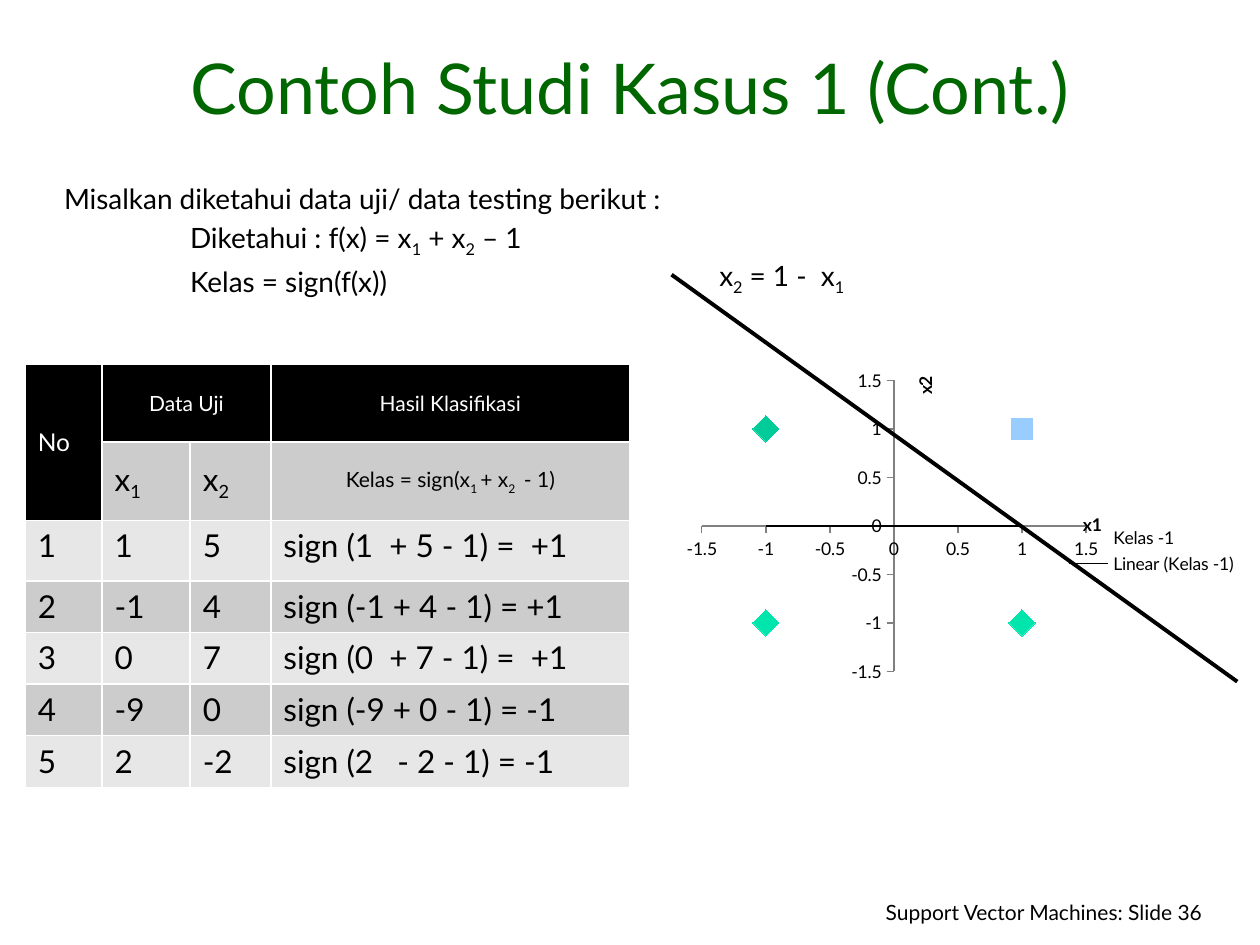
from dataclasses import dataclass

from pptx import Presentation
from pptx import util as u
from pptx.chart.data import XyChartData
from pptx.dml.color import RGBColor
from pptx.enum import chart as charts, shapes, text
from pptx.oxml import parse_xml
from pptx.oxml.ns import nsdecls, qn


@dataclass(frozen=True)
class Theme:
    font: str = "Lato"
    title: str = "006600"
    ink: str = "000000"
    paper: str = "FFFFFF"
    dark_band: str = "CCCCCC"
    light_band: str = "E7E7E7"
    axis: str = "808080"
    teal: str = "00CC99"
    mint: str = "00E5AC"
    sky: str = "99CCFF"
    title_size: float = 40
    table_size: float = 18
    body_size: float = 16
    head_size: float = 14
    small_size: float = 12
    chart_size: float = 10


@dataclass(frozen=True)
class Line:
    words: str
    size: float
    color: str = "000000"
    align: text.PP_ALIGN = text.PP_ALIGN.LEFT
    indent: float = 0
    before: float = 0


@dataclass(frozen=True)
class Cell:
    row: int
    column: int
    line: Line
    fill: str
    middle: bool = False


THEME = Theme()
CENTER, RIGHT = text.PP_ALIGN.CENTER, text.PP_ALIGN.RIGHT
COLUMNS = (43.92, 50.4, 46.08, 205.2)
ROWS = (44.64, 44.64, 34.56) + (29.52,) * 4
RESULTS = (
    ("1", "1", "5", "sign (1  + 5 - 1) =  +1"),
    ("2", "-1", "4", "sign (-1 + 4 - 1) = +1"),
    ("3", "0", "7", "sign (0  + 7 - 1) =  +1"),
    ("4", "-9", "0", "sign (-9 + 0 - 1) = -1"),
    ("5", "2", "-2", "sign (2   - 2 - 1) = -1"),
)


def rgb(color: str) -> RGBColor:
    return RGBColor.from_string(color)


def write_line(para, line: Line) -> None:
    para.alignment = line.align
    para.space_before = u.Pt(line.before)
    if line.indent:
        properties = para._p.get_or_add_pPr()
        properties.set("marL", str(u.Pt(line.indent)))
        properties.set("indent", "0")
    for index, piece in enumerate(line.words.split("~")):
        if not piece:
            continue
        span = para.add_run()
        span.text = piece
        span.font.name = THEME.font
        span.font.size = u.Pt(line.size)
        span.font.color.rgb = rgb(line.color)
        if index % 2:
            span._r.get_or_add_rPr().set("baseline", "-25000")


def add_text(page, left: float, top: float, width: float, height: float,
             lines: list[Line], wrap: bool = True, bottom: bool = False) -> None:
    box = page.shapes.add_textbox(u.Pt(left), u.Pt(top), u.Pt(width), u.Pt(height))
    frame = box.text_frame
    frame.word_wrap = wrap
    frame.vertical_anchor = text.MSO_ANCHOR.BOTTOM if bottom else text.MSO_ANCHOR.TOP
    for index, line in enumerate(lines):
        write_line(frame.add_paragraph() if index else frame.paragraphs[0], line)


def table_cells() -> list[Cell]:
    header = Line("No", THEME.head_size, THEME.paper)
    cells = [Cell(0, 0, header, THEME.ink, True)]
    for column, words in ((1, "Data Uji"), (3, "Hasil Klasifikasi")):
        cells.append(Cell(0, column, Line(words, THEME.small_size, THEME.paper, CENTER),
                          THEME.ink, True))
    for column in (1, 2):
        cells.append(Cell(1, column, Line(f"x~{column}~", THEME.table_size),
                          THEME.dark_band, True))
    rule = Line("Kelas = sign(x~1 ~+ x~2 ~ - 1)", THEME.small_size, align=CENTER)
    cells.append(Cell(1, 3, rule, THEME.dark_band, True))
    for row, values in enumerate(RESULTS, start=2):
        fill = THEME.dark_band if row % 2 else THEME.light_band
        cells += [Cell(row, column, Line(words, THEME.table_size), fill)
                  for column, words in enumerate(values)]
    return cells


def add_results(page) -> None:
    frame = page.shapes.add_table(len(ROWS), len(COLUMNS), u.Pt(14.4), u.Pt(208.1),
                                  u.Pt(sum(COLUMNS)), u.Pt(sum(ROWS)))
    table = frame.table
    for column, width in zip(table.columns, COLUMNS):
        column.width = u.Pt(width)
    for row, height in zip(table.rows, ROWS):
        row.height = u.Pt(height)
    table.cell(0, 0).merge(table.cell(1, 0))
    table.cell(0, 1).merge(table.cell(0, 2))
    for item in table_cells():
        cell = table.cell(item.row, item.column)
        if item.middle:
            cell.vertical_anchor = text.MSO_ANCHOR.MIDDLE
        write_line(cell.text_frame.paragraphs[0], item.line)
        properties = cell._tc.get_or_add_tcPr()
        for side in ("lnL", "lnR", "lnT", "lnB"):
            properties.append(parse_xml(
                f'<a:{side} {nsdecls("a")} w="{u.Pt(1)}"><a:solidFill>'
                f'<a:srgbClr val="{THEME.paper}"/></a:solidFill></a:{side}>'))
        cell.fill.solid()
        cell.fill.fore_color.rgb = rgb(item.fill)


def place(element, position: int, inner: bool = False, **shares: float) -> None:
    old = element.find(qn("c:layout"))
    if old is not None:
        element.remove(old)
    target = '<c:layoutTarget val="inner"/>' if inner else ""
    modes = '<c:xMode val="edge"/><c:yMode val="edge"/>'
    values = "".join(f'<c:{name} val="{share}"/>' for name, share in shares.items())
    element.insert(position, parse_xml(
        f'<c:layout {nsdecls("c")}><c:manualLayout>{target}{modes}{values}'
        '</c:manualLayout></c:layout>'))


def style_marker(marker, style, size: int, color: str | None) -> None:
    marker.style = style
    marker.size = size
    marker.format.line.fill.background()
    if color is None:
        marker.format.fill.background()
    else:
        marker.format.fill.solid()
        marker.format.fill.fore_color.rgb = rgb(color)


def add_trend(series) -> None:
    series._element.find(qn("c:xVal")).addprevious(parse_xml(
        f'<c:trendline {nsdecls("c", "a")}><c:spPr><a:ln w="{u.Pt(0.75)}"><a:solidFill>'
        f'<a:srgbClr val="{THEME.ink}"/></a:solidFill></a:ln></c:spPr>'
        '<c:trendlineType val="linear"/><c:dispRSqr val="0"/><c:dispEq val="0"/>'
        '</c:trendline>'))


def style_axis(axis, name: str, left: float, top: float) -> None:
    axis.minimum_scale, axis.maximum_scale, axis.major_unit = -1.5, 1.5, 0.5
    axis.has_major_gridlines = False
    axis.major_tick_mark = charts.XL_TICK_MARK.OUTSIDE
    axis.minor_tick_mark = charts.XL_TICK_MARK.NONE
    axis.tick_labels.number_format = "General"
    axis.tick_labels.number_format_is_linked = False
    axis.format.line.color.rgb = rgb(THEME.axis)
    axis.format.line.width = u.Pt(0.75)
    frame = axis.axis_title.text_frame
    write_line(frame.paragraphs[0], Line(name, THEME.chart_size))
    frame.paragraphs[0].runs[0].font.bold = True
    if name == "x2":
        frame._txBody.find(qn("a:bodyPr")).set("rot", "-5400000")
    place(axis.axis_title._element, 1, x=left, y=top)


def add_scatter(page) -> None:
    data = XyChartData()
    for name, points in (("Kelas -1", ((1, 1), (1, -1), (-1, 1), (-1, -1))),
                         ("Kelas +1", ((1, 1),))):
        group = data.add_series(name)
        for x, y in points:
            group.add_data_point(x, y)
    chart = page.shapes.add_chart(charts.XL_CHART_TYPE.XY_SCATTER, u.Pt(354.24), u.Pt(206.64),
                                  u.Pt(360), u.Pt(216), data).chart
    chart.has_title = False
    chart.font.name = THEME.font
    chart.font.size = u.Pt(THEME.chart_size)
    chart.font.color.rgb = rgb(THEME.ink)
    plot = chart.plots[0]
    plot.vary_by_categories = False
    diamond, square = charts.XL_MARKER_STYLE.DIAMOND, charts.XL_MARKER_STYLE.SQUARE
    negative, positive = plot.series
    style_marker(negative.marker, diamond, 5, None)
    style_marker(positive.marker, diamond, 5, THEME.paper)
    looks = ((square, 12, THEME.sky), (diamond, 15, THEME.mint),
             (diamond, 15, THEME.teal), (diamond, 15, THEME.mint))
    for index, look in enumerate(looks):
        style_marker(negative.points[index].marker, *look)
    for series in (negative, positive):
        series.format.line.fill.background()
        add_trend(series)
    style_axis(chart.category_axis, "x1", 0.73, 0.39)
    style_axis(chart.value_axis, "x2", 0.46, 0.03)
    place(chart._chartSpace.chart.plotArea, 0, inner=True, x=0.13, y=0.05, w=0.61, h=0.77)
    chart.has_legend = True
    chart.legend.position = charts.XL_LEGEND_POSITION.RIGHT
    chart.legend.include_in_layout = False
    for entry in (3, 1):
        chart.legend._element.insert(1, parse_xml(
            f'<c:legendEntry {nsdecls("c")}><c:idx val="{entry}"/>'
            '<c:delete val="1"/></c:legendEntry>'))


def add_boundary(page) -> None:
    line = page.shapes.add_connector(shapes.MSO_CONNECTOR.STRAIGHT, u.Pt(383.76), u.Pt(156.96),
                                     u.Pt(707.04), u.Pt(389.52))
    line.line.color.rgb = rgb(THEME.ink)
    line.line.width = u.Pt(2.25)
    line._element.spPr.append(parse_xml(f'<a:effectLst {nsdecls("a")}/>'))


def main() -> None:
    deck = Presentation()
    deck.slide_width, deck.slide_height = u.Pt(720), u.Pt(540)
    page = deck.slides.add_slide(deck.slide_layouts[6])
    add_text(page, 411.84, 510.48, 282.24, 21.6,
             [Line("Support Vector Machines: Slide 36", THEME.small_size, align=RIGHT)])
    add_text(page, 36, 21.6, 648, 55.44,
             [Line("Contoh Studi Kasus 1 (Cont.)", THEME.title_size, THEME.title, CENTER)],
             bottom=True)
    statements = (("Misalkan diketahui data uji/ data testing berikut :", 72),
                  ("Diketahui : f(x) = x~1~ + x~2~ – 1", 144),
                  ("Kelas = sign(f(x))", 144))
    add_text(page, -42.48, 100.08, 567.36, 390.96,
             [Line(words, THEME.body_size, indent=indent, before=3.2)
              for words, indent in statements])
    add_results(page)
    add_scatter(page)
    add_boundary(page)
    add_text(page, 329.76, 144, 162, 26.64,
             [Line("x~2~ = 1 -  x~1~", THEME.body_size, align=CENTER, indent=72)], wrap=False)
    deck.save("out.pptx")


if __name__ == "__main__":
    main()
